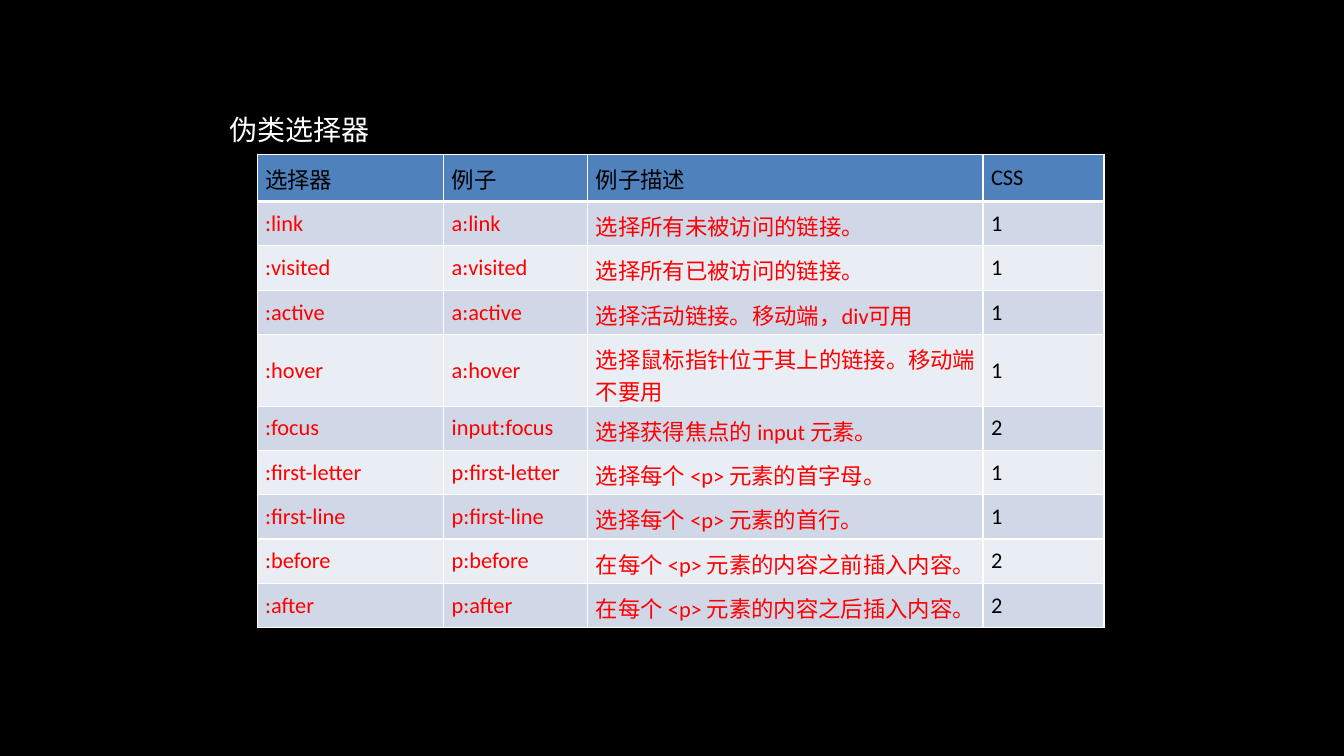
from lxml import etree
from pptx import Presentation
from pptx.dml.color import RGBColor
from pptx.enum.text import MSO_ANCHOR, MSO_AUTO_SIZE
from pptx.oxml.ns import qn
from pptx.util import Pt

PX = 9144  # EMU per px, 100 px to the inch
MIDDLE = MSO_ANCHOR.MIDDLE
GROW = MSO_AUTO_SIZE.SHAPE_TO_FIT_TEXT

BLACK = RGBColor(0x00, 0x00, 0x00)
WHITE = RGBColor(0xFF, 0xFF, 0xFF)
RED = RGBColor(0xFF, 0x00, 0x00)
BLUE = RGBColor(0x4F, 0x81, 0xBD)
BANDS = (RGBColor(0xD0, 0xD8, 0xE8), RGBColor(0xE9, 0xED, 0xF4))

COLS = (185, 143, 392, 120)
HEAD_H, ROW_H, TALL_H = 47, 44, 71
TALL_ROW = 4
INSET = 8

HEAD = ("选择器", "例子", "例子描述", "CSS")
ROWS = (
    (":link", "a:link", "选择所有未被访问的链接。", "1"),
    (":visited", "a:visited", "选择所有已被访问的链接。", "1"),
    (":active", "a:active", "选择活动链接。移动端，div可用", "1"),
    (":hover", "a:hover", "选择鼠标指针位于其上的链接。移动端不要用", "1"),
    (":focus", "input:focus", "选择获得焦点的 input 元素。", "2"),
    (":first-letter", "p:first-letter", "选择每个 <p> 元素的首字母。", "1"),
    (":first-line", "p:first-line", "选择每个 <p> 元素的首行。", "1"),
    (":before", "p:before", "在每个 <p> 元素的内容之前插入内容。", "2"),
    (":after", "p:after", "在每个 <p> 元素的内容之后插入内容。", "2"),
)


def set_font(para, name, size, color):
    para.font.name = name
    para.font.size = Pt(size)
    para.font.color.rgb = color


def add_title(slide, left, top, width, height):
    box = slide.shapes.add_textbox(left * PX, top * PX, width * PX, height * PX)
    frame = box.text_frame
    frame.word_wrap = True
    frame.auto_size = GROW
    para = frame.paragraphs[0]
    para.text = "伪类选择器"
    set_font(para, "Arial", 20, WHITE)


def set_space(para, percent):
    """Space before, as a share of the line."""
    props = para._p.get_or_add_pPr()
    space = etree.Element(qn("a:spcBef"))
    etree.SubElement(space, qn("a:spcPct"), val=str(percent * 1000))
    props.insert(0, space)


def set_edges(cell, top, bottom):
    """White cell borders; the widths are in points."""
    props = cell._tc.get_or_add_tcPr()
    edges = (("L", 1), ("R", 1), ("T", top), ("B", bottom))
    for place, (side, width) in enumerate(edges):
        line = etree.Element(qn(f"a:ln{side}"), w=str(Pt(width)))
        fill = etree.SubElement(line, qn("a:solidFill"))
        etree.SubElement(fill, qn("a:srgbClr"), val=str(WHITE))
        props.insert(place, line)


def fill_cell(cell, text, color, back):
    cell.fill.solid()
    cell.fill.fore_color.rgb = back
    cell.vertical_anchor = MIDDLE
    cell.margin_left = cell.margin_top = cell.margin_bottom = INSET * PX
    cell.margin_right = 0
    para = cell.text_frame.paragraphs[0]
    para.text = text
    set_font(para, "Calibri", 16, color)
    set_space(para, 20)


def add_grid(slide, left, top, width, height):
    data = (HEAD,) + ROWS
    frame = slide.shapes.add_table(
        len(data), len(COLS), left * PX, top * PX, width * PX, height * PX)
    table = frame.table
    table.first_row = table.horz_banding = False
    for col, wide in zip(table.columns, COLS):
        col.width = wide * PX
    for r, texts in enumerate(data):
        tall = {0: HEAD_H, TALL_ROW: TALL_H}.get(r, ROW_H)
        table.rows[r].height = tall * PX
        back = BANDS[(r - 1) % 2] if r else BLUE
        for c, text in enumerate(texts):
            cell = table.cell(r, c)
            color = RED if r and c < len(COLS) - 1 else BLACK
            fill_cell(cell, text, color, back)
            set_edges(cell, 3 if r == 1 else 1, 3 if r == 0 else 1)


def main():
    deck = Presentation()
    deck.slide_width, deck.slide_height = 1333 * PX, 750 * PX
    slide = deck.slides.add_slide(deck.slide_layouts[6])
    slide.background.fill.solid()
    slide.background.fill.fore_color.rgb = BLACK
    add_title(slide, 218, 107, 244, 46)
    add_grid(slide, 255, 153, sum(COLS), 472)
    deck.save("out.pptx")


if __name__ == "__main__":
    main()
